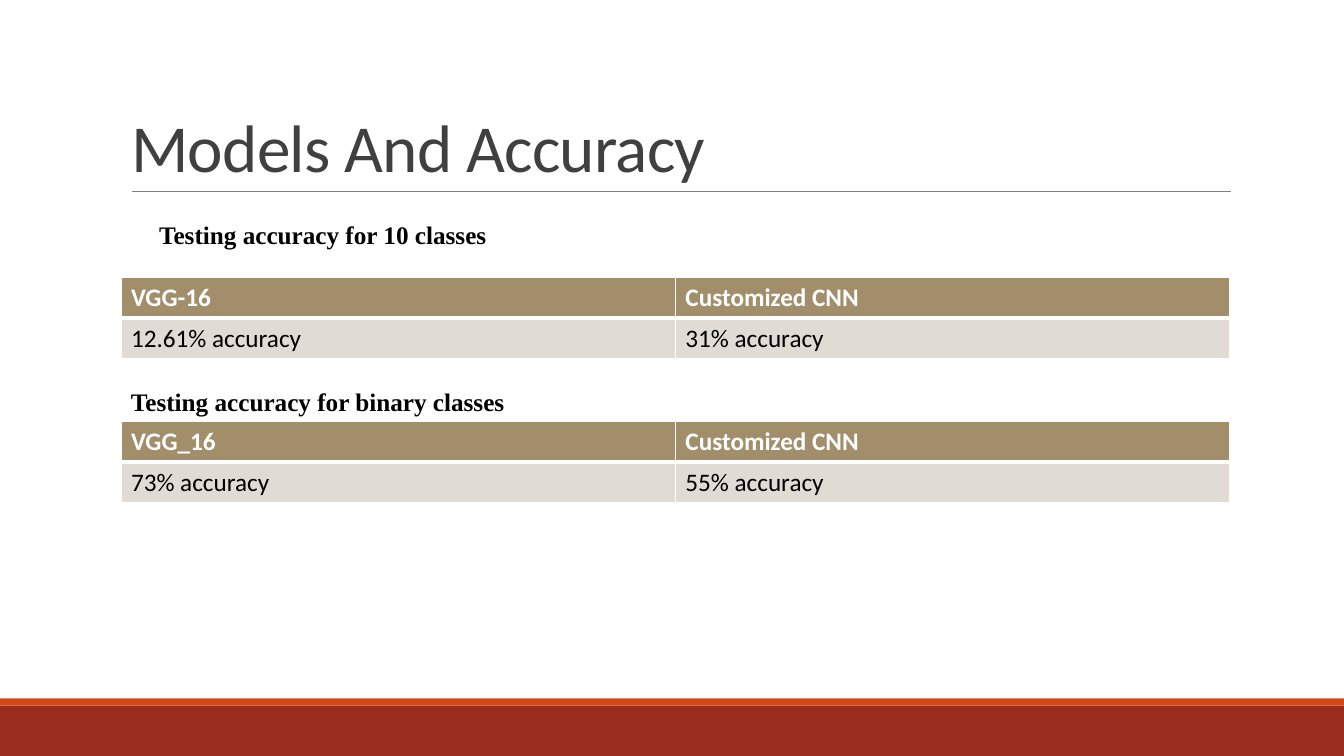
from lxml.etree import SubElement
from pptx import Presentation
from pptx.dml.color import RGBColor
from pptx.enum.shapes import MSO_CONNECTOR, MSO_SHAPE
from pptx.enum.text import MSO_ANCHOR, MSO_AUTO_SIZE, PP_ALIGN
from pptx.oxml.ns import qn
from pptx.util import Inches, Pt


def color(value):
    """Turn a hex string into a colour."""
    return RGBColor.from_string(value)


class SlideBuilder:
    """Place styled elements on a slide by tenth-inch columns and rows."""

    HEADING_FONT = "Times New Roman"
    BODY_FONT = "Calibri"
    WHITE, BLACK, GRAY, TITLE = "FFFFFF", "000000", "808080", "404040"
    BAND, STRIPE = "9B2D1F", "D34817"
    HEADER, BODY = "A28E6A", "E0DBD4"
    COLUMNS, ROWS = 133.33, 75
    LEFT, WIDTH, TABLE_ROW = 12, 110, 4.05

    def __init__(self, deck):
        """Set the slide size and open a title-only slide."""
        deck.slide_width = self.grid(self.COLUMNS)
        deck.slide_height = self.grid(self.ROWS)
        self.page = deck.slides.add_slide(deck.slide_layouts[5])

    @staticmethod
    def grid(count):
        """Convert grid columns or rows to a length."""
        return Inches(count / 10)

    def add_span(self, para, text, size, font, ink, bold=False):
        """Add one formatted run to a paragraph."""
        span = para.add_run()
        span.text = text
        span.font.size = Pt(size)
        span.font.name = font
        span.font.bold = bold
        span.font.color.rgb = color(ink)
        return span

    def band(self, row, height, fill):
        """Draw a full-width band."""
        box = self.page.shapes.add_shape(
            MSO_SHAPE.RECTANGLE, 0, self.grid(row), self.grid(self.COLUMNS), self.grid(height)
        )
        box.shadow.inherit = False
        box.fill.solid()
        box.fill.fore_color.rgb = color(fill)
        box.line.fill.background()

    def rule(self, start, end, row):
        """Draw a thin horizontal line."""
        line = self.page.shapes.add_connector(
            MSO_CONNECTOR.STRAIGHT, *map(self.grid, (start, row, end, row))
        )
        line.line.color.rgb = color(self.GRAY)
        line.line.width = Pt(0.5)
        SubElement(line._element.spPr, qn("a:effectLst"))

    def title(self, text, row, height):
        """Fill and place the title placeholder."""
        box = self.page.shapes.title
        box.left, box.top = self.grid(self.LEFT), self.grid(row)
        box.width, box.height = self.grid(self.WIDTH), self.grid(height)
        frame = box.text_frame
        frame.auto_size = MSO_AUTO_SIZE.NONE
        frame.vertical_anchor = MSO_ANCHOR.BOTTOM
        para = frame.paragraphs[0]
        para.alignment = PP_ALIGN.LEFT
        para.line_spacing = 0.85
        span = self.add_span(para, text, 48, self.BODY_FONT, self.TITLE)
        span.font._element.set("spc", "-50")

    def heading(self, text, column, row, width):
        """Add a bold heading for a table."""
        box = self.page.shapes.add_textbox(*map(self.grid, (column, row, width, 4)))
        frame = box.text_frame
        frame.word_wrap = True
        frame.auto_size = MSO_AUTO_SIZE.SHAPE_TO_FIT_TEXT
        self.add_span(frame.paragraphs[0], text, 18, self.HEADING_FONT, self.BLACK, True)

    def border(self, cell, top, bottom):
        """Give a cell white borders with its own top and bottom widths."""
        properties = cell._tc.get_or_add_tcPr()
        for side, width in (("L", 1), ("R", 1), ("T", top), ("B", bottom)):
            edge = SubElement(properties, qn(f"a:ln{side}"), w=str(Pt(width)))
            fill = SubElement(edge, qn("a:solidFill"))
            SubElement(fill, qn("a:srgbClr"), val=self.WHITE)

    def table(self, rows, row):
        """Add a table with a dark header and light body."""
        height = self.TABLE_ROW * len(rows)
        table = self.page.shapes.add_table(
            len(rows), len(rows[0]), *map(self.grid, (self.LEFT, row, self.WIDTH, height))
        ).table
        for index, texts in enumerate(rows):
            header = index == 0
            top, bottom = (1, 3) if header else (3, 1)
            fill, ink = (self.HEADER, self.WHITE) if header else (self.BODY, self.BLACK)
            for cell, text in zip(table.rows[index].cells, texts):
                self.border(cell, top, bottom)
                cell.fill.solid()
                cell.fill.fore_color.rgb = color(fill)
                para = cell.text_frame.paragraphs[0]
                self.add_span(para, text, 18, self.BODY_FONT, ink, header)


def main():
    """Build and save the accuracy slide."""
    deck = Presentation()
    slide = SlideBuilder(deck)
    slide.band(70, 5, slide.BAND)
    slide.band(69.3, 0.7, slide.STRIPE)
    slide.rule(13.1, 122.1, 19)
    slide.title("Models And Accuracy", 3.1, 15.9)
    slide.heading("Testing accuracy for 10 classes", 14.8, 21.3, 58.3)
    slide.table([("VGG-16", "Customized CNN"), ("12.61% accuracy", "31% accuracy")], 27.5)
    slide.heading("Testing accuracy for binary classes", 12, 37.8, 48.2)
    slide.table([("VGG_16", "Customized CNN"), ("73% accuracy", "55% accuracy")], 41.8)
    deck.save("out.pptx")


if __name__ == "__main__":
    main()
